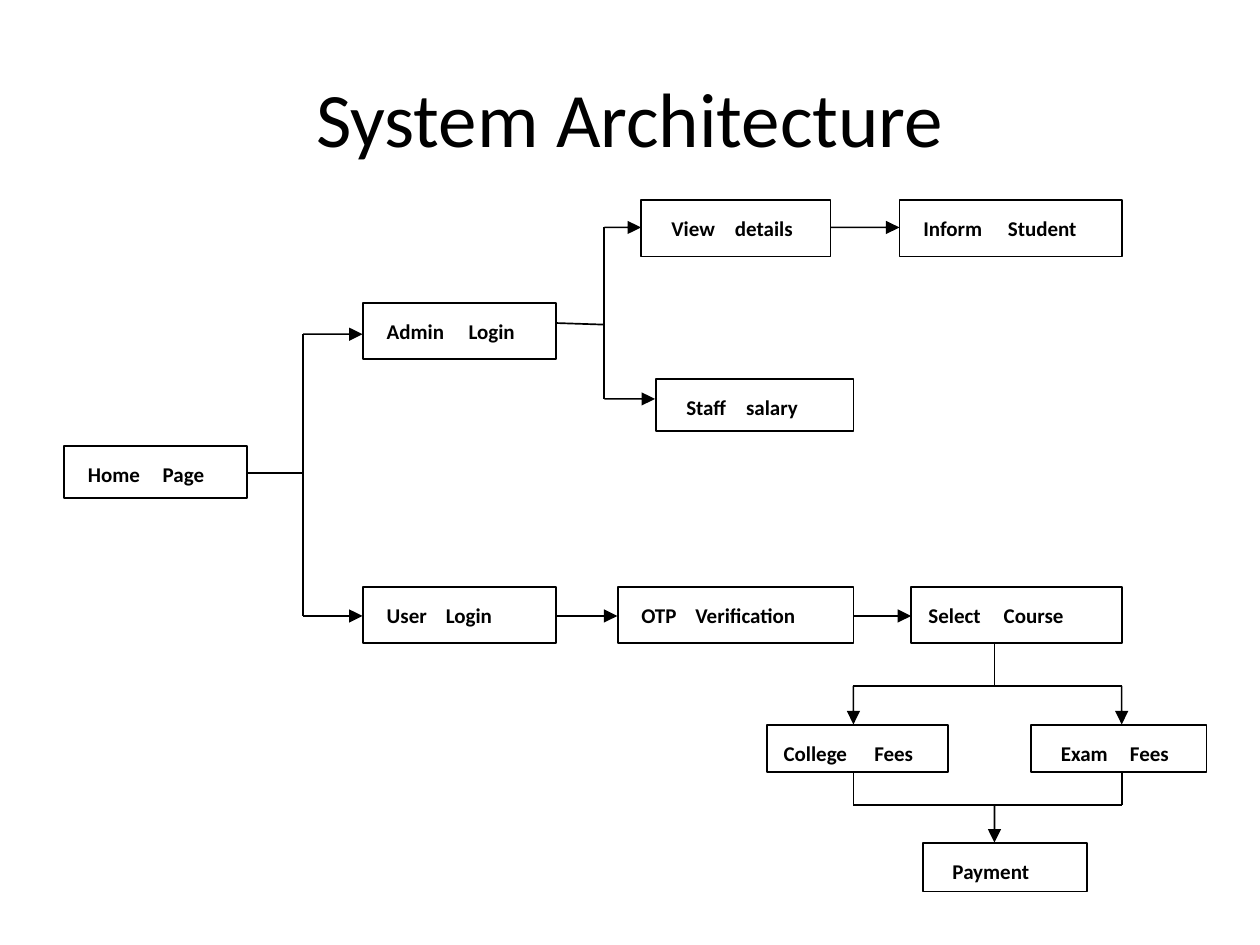
from pptx import Presentation
from pptx.dml.color import RGBColor
from pptx.enum.shapes import MSO_CONNECTOR as Connector, MSO_SHAPE as Shape
from pptx.enum.text import MSO_ANCHOR as Anchor, PP_ALIGN as Align
from pptx.oxml.ns import qn
from pptx.util import Pt
from lxml.etree import SubElement


def color(value):
    return RGBColor.from_string(value)


class Diagram:
    font_name = "Calibri"
    ink = "000000"
    line_width = 0.95
    head_length, head_width = 7.7, 7.6
    label_drop = 8.4

    def __init__(self, slide):
        self.slide = slide

    def text(self, words, left, top, width, height, size, bold=False,
             align=Align.LEFT, anchor=Anchor.TOP, line_spacing=1.0):
        shape = self.slide.shapes.add_textbox(Pt(left), Pt(top), Pt(width), Pt(height))
        frame = shape.text_frame
        frame.word_wrap = True
        frame.vertical_anchor = anchor
        frame.margin_left = frame.margin_right = 0
        frame.margin_top = frame.margin_bottom = 0
        paragraph = frame.paragraphs[0]
        paragraph.alignment = align
        paragraph.line_spacing = line_spacing
        run = paragraph.add_run()
        run.text = words
        run.font.name = self.font_name
        run.font.size = Pt(size)
        run.font.bold = bold
        run.font.color.rgb = color(self.ink)

    def box(self, left, top, width, height, labels):
        # The outline is centred on the edge, so inset it by half its width
        inset = self.line_width / 2
        shape = self.slide.shapes.add_shape(
            Shape.RECTANGLE, Pt(left + inset), Pt(top + inset),
            Pt(width - 2 * inset), Pt(height - 2 * inset))
        shape.shadow.inherit = False
        shape.fill.background()
        shape.line.color.rgb = color(self.ink)
        shape.line.width = Pt(self.line_width)
        for word, label_left, label_width in labels:
            self.text(word, label_left, top + self.label_drop, label_width, 19.5,
                      12, bold=True, line_spacing=1.07)

    def line(self, x1, y1, x2, y2):
        connector = self.slide.shapes.add_connector(
            Connector.STRAIGHT, Pt(x1), Pt(y1), Pt(x2), Pt(y2))
        connector.line.color.rgb = color(self.ink)
        connector.line.width = Pt(self.line_width)
        SubElement(connector._element.spPr, qn("a:effectLst"))

    def arrow(self, x, y, length, down=False):
        # Solid outline: distance along the arrow, then offset across it
        shaft, wing = self.line_width / 2, self.head_width / 2
        neck = length - self.head_length
        outline = [(0, -shaft), (neck, -shaft), (neck, -wing), (length, 0),
                   (neck, wing), (neck, shaft), (0, shaft)]
        points = [(Pt(x + across), Pt(y + along)) if down
                  else (Pt(x + along), Pt(y + across)) for along, across in outline]
        builder = self.slide.shapes.build_freeform(*points[0])
        builder.add_line_segments(points[1:], close=True)
        shape = builder.convert_to_shape()
        shape.shadow.inherit = False
        shape.fill.solid()
        shape.fill.fore_color.rgb = color(self.ink)
        shape.line.fill.background()


# Box columns and rows
LOGIN_X = 206.9
DETAILS_Y, ADMIN_Y, USER_Y, FEES_Y, PAYMENT_Y = 114, 172.8, 334.8, 413.8, 481.2
ROW_H, FEES_H = 33, 27.7

# Left, top, width, height, then each word with its left and width
BOXES = [
    (36, 254.6, 105.8, 30.6, [("Home", 50.2, 52.5), ("Page", 93, 42)]),
    (LOGIN_X, ADMIN_Y, 111.4, ROW_H, [("Admin", 221, 57.5), ("Login", 267.8, 47)]),
    (365.8, DETAILS_Y, 109.2, ROW_H, [("View", 383.6, 44), ("details", 420, 58.5)]),
    (513.5, DETAILS_Y, 128, ROW_H, [("Inform", 527.6, 60), ("Student", 576, 69)]),
    (LOGIN_X, USER_Y, 111.4, ROW_H, [("User", 221, 40.5), ("Login", 254.8, 47)]),
    (352.7, USER_Y, 135.5, ROW_H, [("OTP", 366.5, 36), ("Verification", 397.4, 101.5)]),
    (520.3, USER_Y, 121.2, ROW_H, [("Select", 530.6, 52.5), ("Course", 573.6, 60.5)]),
    (437.7, FEES_Y, 104.6, FEES_H, [("College", 447.8, 64), ("Fees", 499.6, 39)]),
    (588.8, FEES_Y, 101.2, FEES_H, [("Exam", 606.2, 47.5), ("Fees", 645.7, 39)]),
    (374.5, 216, 113.7, 30.8, [("Staff", 392.2, 41), ("salary", 426.4, 52)]),
    (526.8, PAYMENT_Y, 94.7, 28.8, [("Payment", 544.3, 78)]),
]


def main():
    presentation = Presentation()
    presentation.slide_width, presentation.slide_height = Pt(720), Pt(540)
    diagram = Diagram(presentation.slides.add_slide(presentation.slide_layouts[6]))

    # Title
    diagram.text("System Architecture", 36, 21.6, 648, 90, 44,
                 align=Align.CENTER, anchor=Anchor.MIDDLE)

    # Boxes
    for box in BOXES:
        diagram.box(*box)

    # Home page to the two logins
    trunk_x, admin_y, user_y = 173.2, 191, 352
    diagram.line(141.8, 270.4, trunk_x, 270.4)
    diagram.line(trunk_x, admin_y, trunk_x, user_y)
    for y in (admin_y, user_y):
        diagram.arrow(trunk_x, y, 34)

    # Admin branch
    branch_x, details_y, salary_y = 345.3, 130, 228
    diagram.line(317.8, 184.6, branch_x, 185.5)
    diagram.line(branch_x, details_y, branch_x, salary_y)
    diagram.arrow(branch_x, details_y, 21)
    diagram.arrow(branch_x, salary_y, 29)
    diagram.arrow(474.5, details_y, 39.5)

    # User branch
    diagram.arrow(317.8, user_y, 35)
    diagram.arrow(487.7, user_y, 33)

    # Course to fees to payment
    course_x, fees_xs = 568.3, (487.7, 641)
    split_y, join_y = 392, 460
    diagram.line(course_x, 367.5, course_x, split_y)
    for y in (split_y, join_y):
        diagram.line(fees_xs[0], y, fees_xs[1], y)
    for x in fees_xs:
        diagram.arrow(x, split_y, 22, down=True)
        diagram.line(x, FEES_Y + FEES_H, x, join_y)
    diagram.arrow(course_x, join_y, 21.5, down=True)

    presentation.save("out.pptx")


if __name__ == "__main__":
    main()
